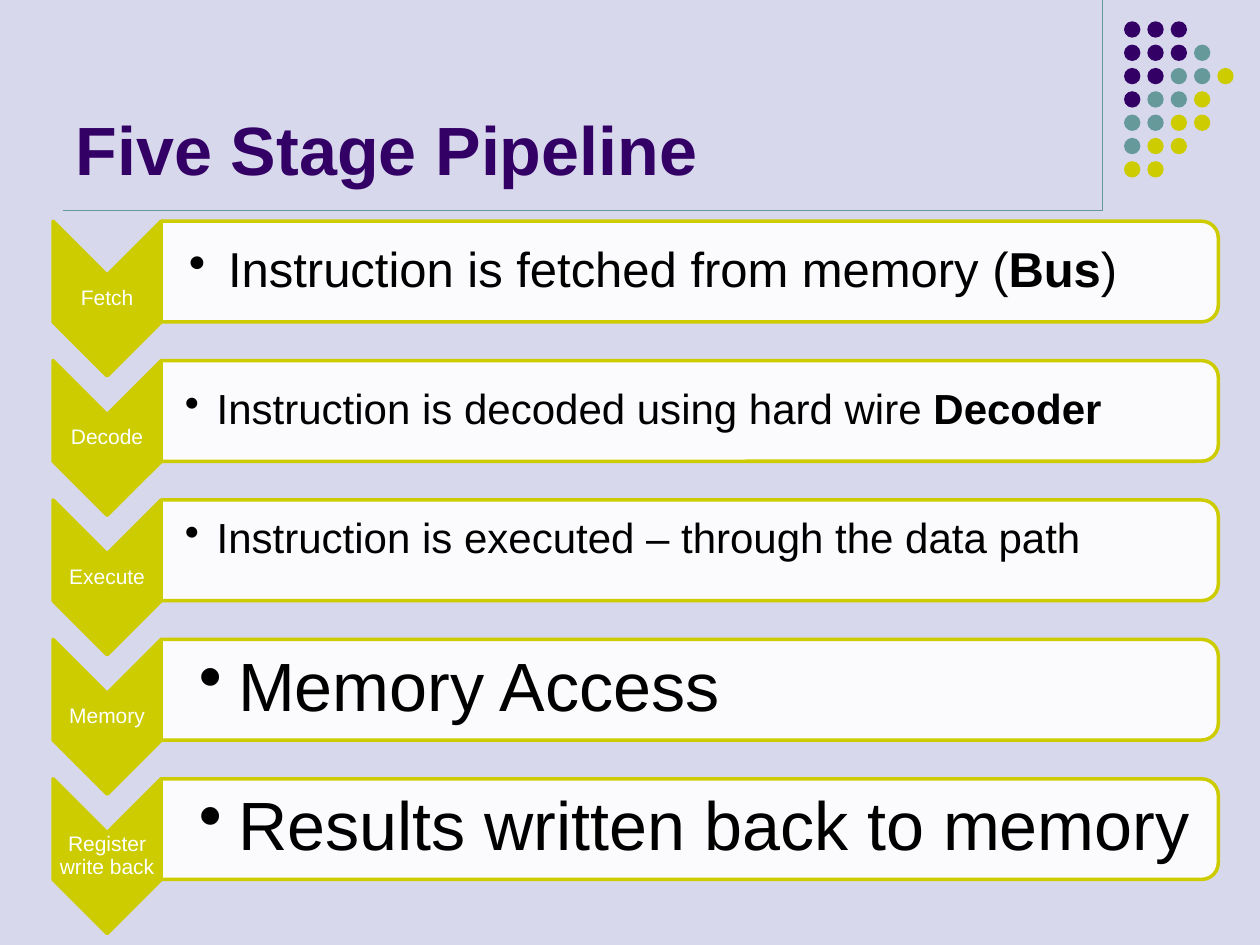
from lxml import etree
from pptx import Presentation
from pptx import util as u
from pptx.dml import color
from pptx.enum import shapes, text
from pptx.oxml import ns

COLORS = {
    "background": "D8D8EC",
    "purple": "330066",
    "teal": "669999",
    "lime": "CCCC00",
    "white": "FFFFFF",
    "black": "000000",
}
FONT = "Arial"
DOT_ROWS = ["PPP", "PPPT", "PPTTL", "PTTL", "TTLL", "TLL", "LL"]
DOT_COLORS = {"P": "purple", "T": "teal", "L": "lime"}
STAGES = [
    ("Fetch", [("Instruction is fetched from memory (", False), ("Bus", True), (")", False)],
     28, 0.56, 0.79, 0.05),
    ("Decode", [("Instruction is decoded using hard wire ", False), ("Decoder", True)],
     24, 0.48, 0.64, 0.05),
    ("Execute", [("Instruction is executed – through the data path", False)],
     24, 0.48, 0.64, 0.48),
    ("Memory", [("Memory Access", False)], 39, 0.76, 0.79, 0.08),
    ("Register write back", [("Results written back to memory", False)], 39, 0.76, 0.79, 0.08),
]
FIRST_TOP, STAGE_PITCH = 4.46, 2.81
CHEVRON_LEFT, CHEVRON_WIDTH, CHEVRON_HEIGHT = 1.07, 2.18, 3.12
CARD_LEFT, CARD_WIDTH, CARD_HEIGHT = 3.25, 21.31, 2.03


def rgb(name):
    return color.RGBColor.from_string(COLORS[name])


def format_font(font, size, color_name, bold=False):
    font.name = FONT
    font.size = u.Pt(size)
    font.bold = bold
    font.color.rgb = rgb(color_name)


def add_filled(slide, preset, left, top, width, height, fill):
    shape = slide.shapes.add_shape(preset, u.Cm(left), u.Cm(top), u.Cm(width), u.Cm(height))
    shape.shadow.inherit = False
    shape.fill.solid()
    shape.fill.fore_color.rgb = rgb(fill)
    shape.line.fill.background()
    return shape


def add_quarter_turned(slide, preset, left, top, width, height, fill):
    shift = (width - height) / 2
    shape = add_filled(slide, preset, left + shift, top - shift, height, width, fill)
    shape.rotation = 90
    shape.line.color.rgb = rgb("lime")
    shape.line.width = u.Pt(2)
    return shape


def add_rule(slide, x1, y1, x2, y2):
    rule = slide.shapes.add_connector(
        shapes.MSO_CONNECTOR.STRAIGHT, u.Cm(x1), u.Cm(y1), u.Cm(x2), u.Cm(y2))
    rule.line.color.rgb = rgb("teal")
    rule.line.width = u.Pt(0.75)
    etree.SubElement(rule._element.spPr, ns.qn("a:effectLst"))


def add_dots(slide):
    for row, pattern in enumerate(DOT_ROWS):
        for column, key in enumerate(pattern):
            add_filled(slide, shapes.MSO_SHAPE.OVAL, 22.66 + 0.47 * column,
                       0.43 + 0.47 * row, 0.33, 0.33, DOT_COLORS[key])


def add_title(slide, wording):
    title = slide.shapes.title
    title.left, title.top = u.Cm(1.27), u.Cm(0.33)
    title.width, title.height = u.Cm(20.96), u.Cm(3.61)
    frame = title.text_frame
    frame.text = wording
    frame.auto_size = text.MSO_AUTO_SIZE.NONE
    frame.vertical_anchor = text.MSO_ANCHOR.BOTTOM
    paragraph = frame.paragraphs[0]
    paragraph.alignment = text.PP_ALIGN.LEFT
    format_font(paragraph.runs[0].font, 39, "purple", True)


def add_text(slide, left, top, width, height, inset):
    frame = slide.shapes.add_textbox(
        u.Cm(left), u.Cm(top), u.Cm(width), u.Cm(height)).text_frame
    frame.word_wrap = True
    frame.vertical_anchor = text.MSO_ANCHOR.MIDDLE
    frame.margin_left = frame.margin_right = u.Cm(inset)
    frame.margin_top = frame.margin_bottom = u.Cm(inset)
    frame.paragraphs[0].line_spacing = 0.9
    return frame


def add_bullet(paragraph, indent):
    properties = paragraph._p.get_or_add_pPr()
    properties.set("marL", str(u.Cm(indent)))
    properties.set("indent", str(-u.Cm(indent)))
    etree.SubElement(properties, ns.qn("a:buChar"), char="•")


def add_chevron(slide, top, label):
    add_quarter_turned(slide, shapes.MSO_SHAPE.CHEVRON, CHEVRON_LEFT, top,
                       CHEVRON_WIDTH, CHEVRON_HEIGHT, "lime")
    frame = add_text(slide, CHEVRON_LEFT, top + 1.09, CHEVRON_WIDTH, 0.94, 0.02)
    paragraph = frame.paragraphs[0]
    paragraph.text = label
    paragraph.alignment = text.PP_ALIGN.CENTER
    format_font(paragraph.runs[0].font, 12, "white")


def add_card(slide, top, pieces, size, left_inset, indent, bottom_inset):
    card = add_quarter_turned(slide, shapes.MSO_SHAPE.ROUND_2_SAME_RECTANGLE, CARD_LEFT, top,
                              CARD_WIDTH, CARD_HEIGHT, "white")
    fill_color = card._element.spPr.find(ns.qn("a:solidFill"))[0]
    etree.SubElement(fill_color, ns.qn("a:alpha"), val="90000")
    frame = add_text(slide, CARD_LEFT, top + 0.1, CARD_WIDTH - 0.1, CARD_HEIGHT - 0.2, 0.05)
    frame.margin_left = u.Cm(left_inset)
    frame.margin_bottom = u.Cm(bottom_inset)
    paragraph = frame.paragraphs[0]
    add_bullet(paragraph, indent)
    for wording, bold in pieces:
        run = paragraph.add_run()
        run.text = wording
        format_font(run.font, size, "black", bold)


def main():
    deck = Presentation()
    deck.slide_width, deck.slide_height = u.Cm(25.4), u.Cm(19.05)
    slide = deck.slides.add_slide(deck.slide_layouts.get_by_name("Title Only"))
    slide.background.fill.solid()
    slide.background.fill.fore_color.rgb = rgb("background")
    add_rule(slide, 22.23, 0, 22.23, 4.24)
    add_dots(slide)
    add_rule(slide, 1.27, 4.24, 22.23, 4.24)
    add_title(slide, "Five Stage Pipeline")
    for index, (label, *description) in enumerate(STAGES):
        top = FIRST_TOP + index * STAGE_PITCH
        add_chevron(slide, top, label)
        add_card(slide, top, *description)
    deck.save("out.pptx")


if __name__ == "__main__":
    main()
